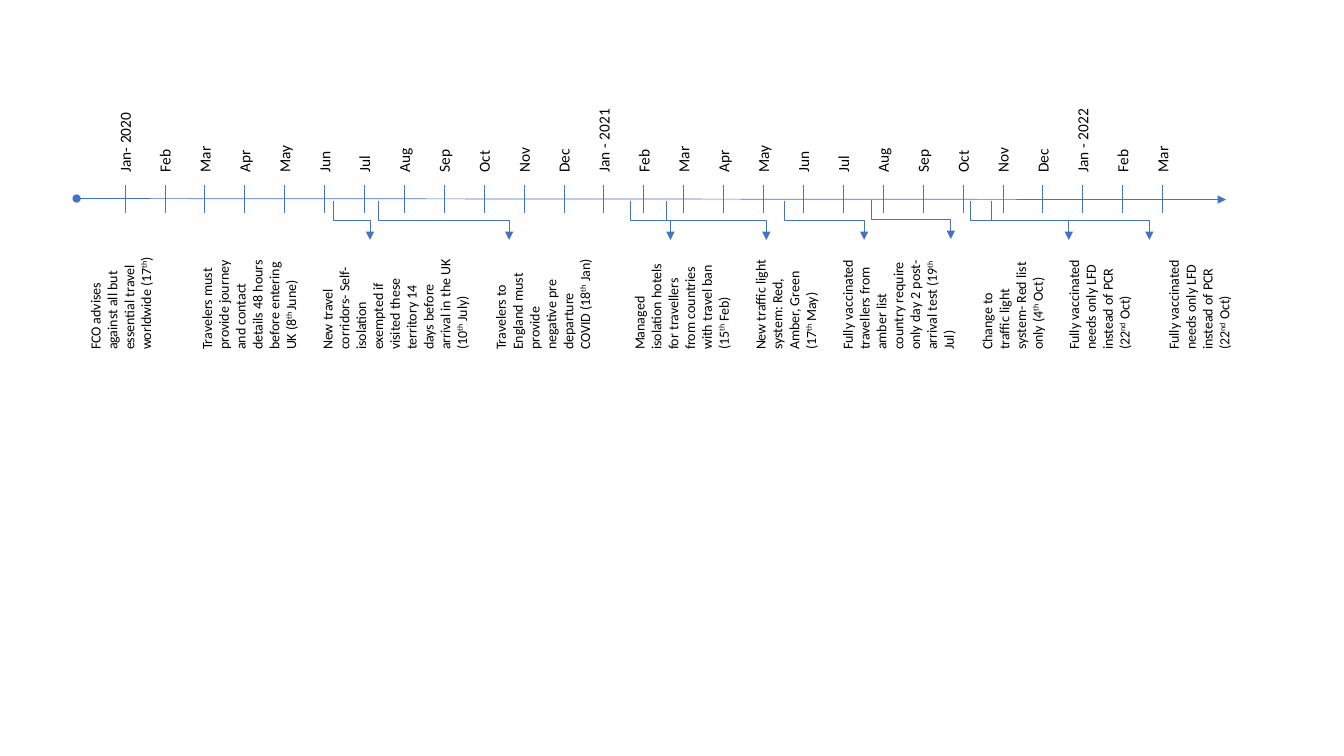
from lxml import etree
from pptx import Presentation
from pptx.dml.color import RGBColor
from pptx.enum.shapes import MSO_CONNECTOR
from pptx.enum.text import MSO_AUTO_SIZE
from pptx.oxml.ns import qn
from pptx.util import Inches, Pt

STRAIGHT, ELBOW = MSO_CONNECTOR.STRAIGHT, MSO_CONNECTOR.ELBOW
GROW = MSO_AUTO_SIZE.SHAPE_TO_FIT_TEXT
BLUE, BLACK = "4472C4", "000000"


def add_line(shapes, kind, x1, y1, x2, y2, head=None, tail=None):
    c = shapes.add_connector(kind, Inches(x1), Inches(y1), Inches(x2), Inches(y2))
    c.line.color.rgb = RGBColor.from_string(BLUE)
    c.line.width = Pt(0.5)
    ln = c.line._get_or_add_ln()
    for tag, end in (("a:headEnd", head), ("a:tailEnd", tail)):
        if end:
            etree.SubElement(ln, qn(tag)).set("type", end)
    etree.SubElement(c._element.spPr, qn("a:effectLst"))
    return c


def add_upright_text(shapes, cx, cy, w, h, parts, size, wrap):
    """Text turned to read upwards; every second part is superscript."""
    tb = shapes.add_textbox(Inches(cx - w / 2), Inches(cy - h / 2), Inches(w), Inches(h))
    tb.rotation = 270
    tf = tb.text_frame
    tf.word_wrap = wrap
    tf.auto_size = GROW
    p = tf.paragraphs[0]
    p.font.name, p.font.size = "Calibri", Pt(size)
    p.font.color.rgb = RGBColor.from_string(BLACK)
    for i, part in enumerate(parts):
        r = p.add_run()
        r.text = part
        if i % 2:
            r.font._element.set("baseline", "30000")


prs = Presentation()
prs.slide_width, prs.slide_height = Inches(13.33), Inches(7.5)
s = prs.slides.add_slide(prs.slide_layouts[6])

# Time axis with monthly ticks
axis = s.shapes.add_group_shape().shapes
add_line(axis, STRAIGHT, 0.76, 1.97, 12.16, 1.98, "oval", "triangle")

label_widths = {"Jan": 0.97, "Feb": 0.43, "Mar": 0.46, "Apr": 0.43, "May": 0.48, "Jun": 0.41,
                "Jul": 0.37, "Aug": 0.44, "Sep": 0.43, "Oct": 0.42, "Nov": 0.45, "Dec": 0.44}
months = list(label_widths)
january_labels = ["Jan- 2020", "Jan - 2021", "Jan - 2022"]
first_tick, last_tick, tick_count = 1.24, 11.53, 27
step = (last_tick - first_tick) / (tick_count - 1)
for i in range(tick_count):
    x = first_tick + i * step
    month = months[i % 12]
    label = january_labels[i // 12] if month == "Jan" else month
    w = 0.8 if i == 0 else label_widths[month]
    add_line(axis, STRAIGHT, x, 1.84, x, 2.11)
    add_upright_text(axis, x, 1.81 - w / 2, w, 0.29, [label], 11, wrap=w > 0.9)

# Policy events: centre, box height, text parts
lfd_rule = ["Fully vaccinated needs only LFD instead of PCR (22", "nd", " Oct)"]
events = [
    (1.28, 0.94, ["FCO advises against all but essential travel worldwide (17", "th", ")"]),
    (2.47, 1.11, ["Travelers must provide journey and contact details 48 hours before entering UK (8",
                  "th ", "June)"]),
    (3.92, 1.62, ["New travel corridors- Self-isolation exempted if visited these territory 14 days "
                  "before arrival in the UK (10", "th", " July)"]),
    (5.47, 1.28, ["Travelers to England must provide negative pre departure COVID (18", "th", " Jan)"]),
    (6.76, 1.11, ["Managed isolation hotels for travellers from countries with travel ban (15",
                  "th", " Feb)"]),
    (7.79, 0.77, ["New traffic light system: Red, Amber, Green (17", "th", " May)"]),
    (8.91, 1.28, ["Fully vaccinated travellers from amber list country require only day 2 "
                  "post-arrival test (19", "th", " Jul)"]),
    (10.04, 0.77, ["Change to traffic light system- Red list only (4", "th", " Oct)"]),
    (10.9, 0.77, lfd_rule),
    (11.89, 0.77, lfd_rule),
]
for cx, h, parts in events:
    add_upright_text(s.shapes, cx, 3.01, 1.12, h, parts, 10, wrap=True)

# Elbow arrows from dates on the axis to events: start x, end x, start y
drop = 0.39
arrows = [(3.31, 3.67, 1.99), (3.75, 5.05, 1.99), (6.25, 6.65, 1.99), (6.61, 7.6, 1.99),
          (7.78, 8.57, 1.99), (8.64, 9.43, 1.98), (9.62, 10.6, 1.99), (9.83, 11.4, 1.99)]
for x1, x2, top in arrows:
    # Laid out sideways about its centre, then turned so it leaves the axis downwards
    cx, cy, span = (x1 + x2) / 2, top + drop / 2, x2 - x1
    c = add_line(s.shapes, ELBOW, cx + drop / 2, cy - span / 2, cx - drop / 2, cy + span / 2,
                 tail="triangle")
    c._element.spPr.find(qn("a:xfrm")).set("rot", "16200000")

prs.save("out.pptx")
